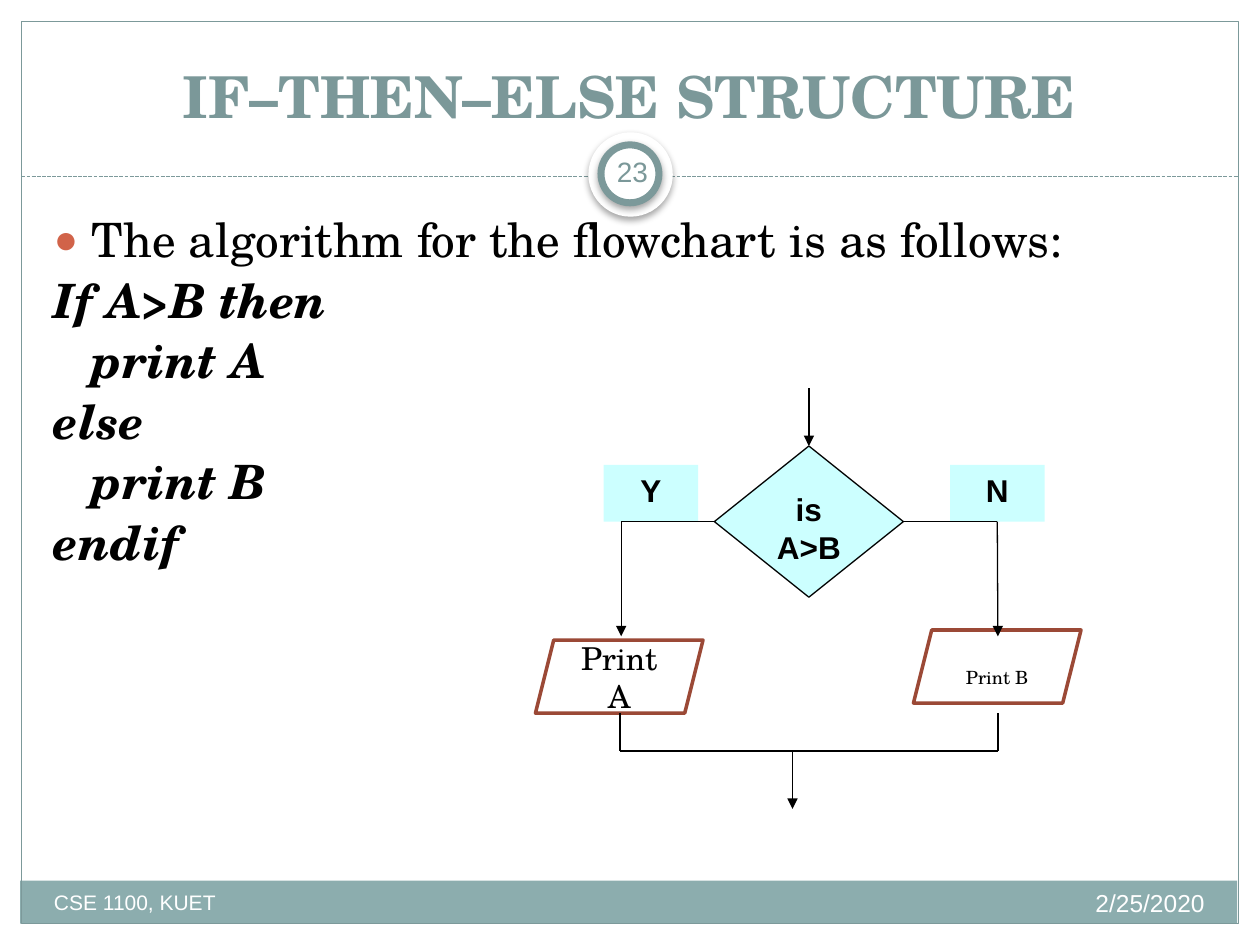
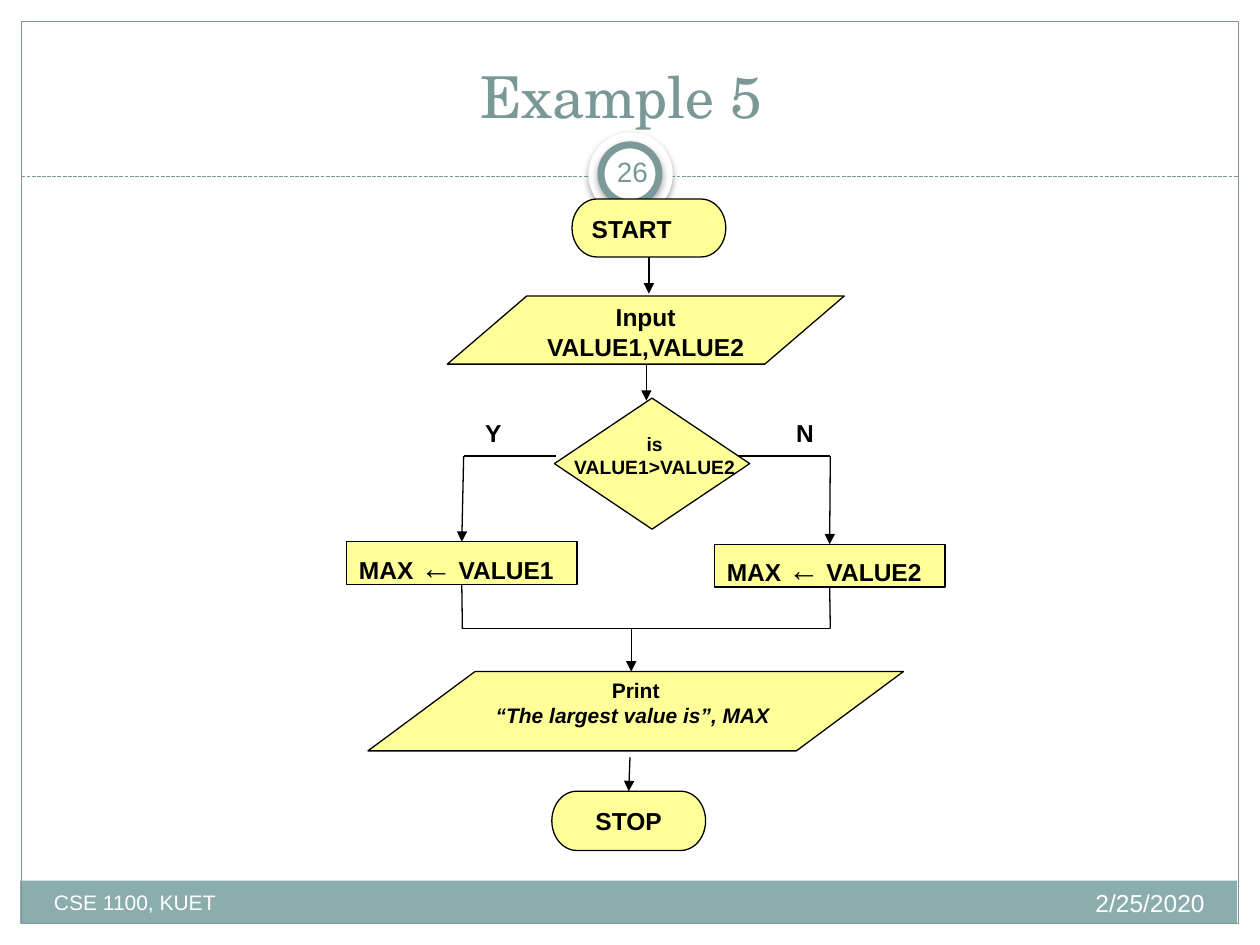
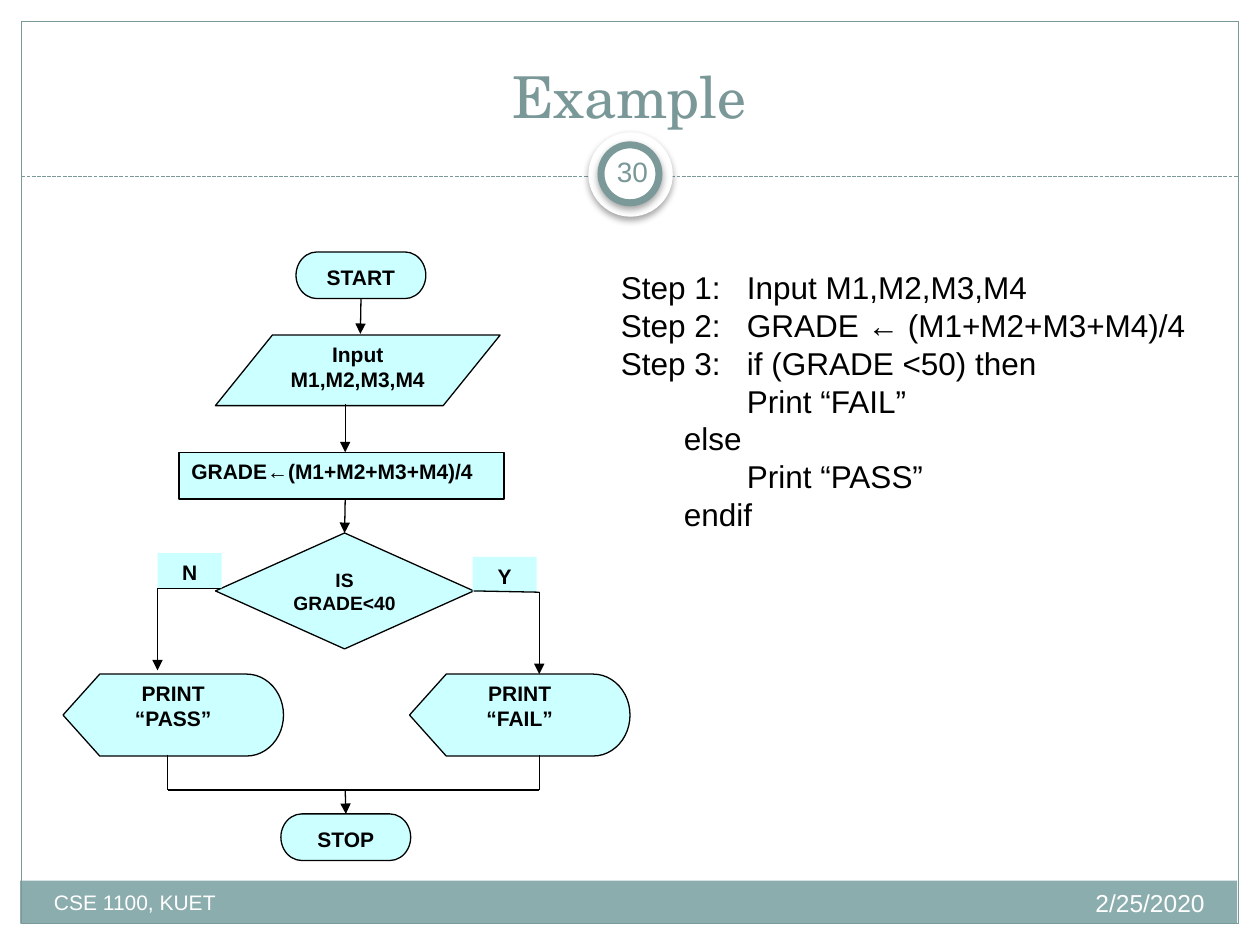
"""Build three slides on flowcharts with an if-then-else choice."""
from dataclasses import dataclass
from functools import partial
from typing import NamedTuple, Optional

from lxml.etree import SubElement
from pptx import Presentation
from pptx.dml.color import RGBColor
from pptx.enum.dml import MSO_LINE
from pptx.enum.shapes import MSO_CONNECTOR as Conn, MSO_SHAPE as Kind
from pptx.enum.text import MSO_ANCHOR as Anchor, PP_ALIGN as Align
from pptx.oxml.ns import qn
from pptx.util import Inches, Pt


@dataclass(frozen=True)
class Theme:
    ink: str = "000000"
    white: str = "FFFFFF"
    title: str = "7B9899"
    frame: str = "7C999A"
    band: str = "8CADAE"
    rust: str = "9B4936"
    bullet: str = "D16349"
    aqua: str = "CCFFFF"
    lemon: str = "FFFF99"
    serif: str = "TeX Gyre Schola"
    sans: str = "Arial"
    head: float = 33
    body: float = 27
    step: float = 18
    page: float = 16
    flow: float = 14
    note: float = 12
    tiny: float = 11
    thin: float = 0.75


T = Theme()
JOINS = (Kind.RECTANGLE, Kind.FLOWCHART_PROCESS, Kind.FLOWCHART_DECISION,
         Kind.FLOWCHART_TERMINATOR)
NEAR = 0.025


class Run(NamedTuple):
    text: str
    size: Optional[float] = None
    bold: Optional[bool] = None
    italic: bool = False


@dataclass
class Node:
    kind: Optional[Kind]
    x: float
    y: float
    w: float
    h: float
    lines: tuple = ()
    fill: Optional[str] = None
    line: Optional[str] = T.ink
    width: float = T.thin
    size: float = T.flow
    font: str = T.sans
    bold: bool = True
    align: Align = Align.CENTER
    anchor: Anchor = Anchor.TOP
    base: int = 0

    def sides(self) -> list:
        """Middles of the top, left, bottom and right sides."""
        mid, cy = self.x + self.w / 2, self.y + self.h / 2
        return [(mid, self.y), (self.x, cy), (mid, self.y + self.h), (self.x + self.w, cy)]


class Flow(NamedTuple):
    points: list
    arrow: bool = True


def rgb(code: str) -> RGBColor:
    """Turn a hex code into a colour."""
    return RGBColor.from_string(code)


def write(frame, *lines, size=T.flow, font=T.sans, color=T.ink, bold=False, italic=False,
          align=Align.LEFT, anchor=Anchor.TOP, inset=0.1, base=0) -> None:
    """Fill a text frame with lines, each a string or a tuple of runs."""
    frame.word_wrap = True
    frame.vertical_anchor = anchor
    frame.margin_left = frame.margin_right = Inches(inset)
    frame.margin_top = frame.margin_bottom = Inches(0.05)
    for i, line in enumerate(lines):
        para = frame.add_paragraph() if i else frame.paragraphs[0]
        para.alignment = align
        for part in (Run(line),) if isinstance(line, str) else line:
            run = para.add_run()
            run.text = part.text
            look = run.font
            look.name, look.size = font, Pt(part.size or size)
            look.bold = bold if part.bold is None else part.bold
            look.italic = italic or part.italic
            look.color.rgb = rgb(color)
            if base:
                look._element.set("baseline", str(base * 1000))


def add_text(slide, x: float, y: float, w: float, h: float, *lines, **fmt):
    """Add a text box and return its frame."""
    frame = slide.shapes.add_textbox(Inches(x), Inches(y), Inches(w), Inches(h)).text_frame
    write(frame, *lines, **fmt)
    return frame


def add_shape(slide, kind: Kind, x: float, y: float, w: float, h: float,
              fill: Optional[str] = None, line: Optional[str] = None, width: float = T.thin):
    """Add a plain preset shape."""
    shape = slide.shapes.add_shape(kind, Inches(x), Inches(y), Inches(w), Inches(h))
    shape.shadow.inherit = False
    if fill:
        shape.fill.solid()
        shape.fill.fore_color.rgb = rgb(fill)
    else:
        shape.fill.background()
    if line:
        shape.line.color.rgb = rgb(line)
        shape.line.width = Pt(width)
    else:
        shape.line.fill.background()
    return shape


def add_line(slide, start: tuple, end: tuple, color: str = T.ink, arrow: bool = False):
    """Add a straight line, with an arrowhead at its end if asked."""
    link = slide.shapes.add_connector(Conn.STRAIGHT, *(Inches(v) for v in (*start, *end)))
    link.line.color.rgb = rgb(color)
    link.line.width = Pt(T.thin)
    if arrow:
        SubElement(link.line._get_or_add_ln(), qn("a:tailEnd"), type="triangle")
    SubElement(link._element.spPr, qn("a:effectLst"))
    return link


def cast_shadow(shape) -> None:
    """Drop a soft shadow below a shape."""
    effects = shape._element.spPr.find(qn("a:effectLst"))
    outer = SubElement(effects, qn("a:outerShdw"), blurRad=str(Pt(4)), dist=str(Pt(2)),
                       dir="5400000", rotWithShape="0")
    tint = SubElement(outer, qn("a:srgbClr"), val=T.ink)
    SubElement(tint, qn("a:alpha"), val="35000")


def add_node(slide, node: Node):
    """Draw one flowchart node, or a bare label if it has no kind."""
    area = node.x, node.y, node.w, node.h
    fmt = dict(size=node.size, font=node.font, bold=node.bold, align=node.align,
               anchor=node.anchor, base=node.base)
    if node.kind is None:
        add_text(slide, *area, *node.lines, **fmt)
        return None
    shape = add_shape(slide, node.kind, *area, node.fill, node.line, node.width)
    if node.lines:
        write(shape.text_frame, *node.lines, **fmt)
    return shape


def find_side(point: tuple, drawn: list):
    """Find the shape and side whose middle lies at a point."""
    for node, shape in drawn:
        if node.kind in JOINS:
            for side, (x, y) in enumerate(node.sides()):
                if abs(x - point[0]) <= NEAR and abs(y - point[1]) <= NEAR:
                    return shape, side
    return None


def add_chart(slide, nodes: list, flows: list) -> None:
    """Draw a flowchart and join its lines to the nodes they meet."""
    drawn = [(node, add_node(slide, node)) for node in nodes]
    for points, arrow in flows:
        for i, (start, end) in enumerate(zip(points, points[1:]), 2):
            link = add_line(slide, start, end, arrow=arrow and i == len(points))
            if site := find_side(start, drawn):
                link.begin_connect(*site)
            if site := find_side(end, drawn):
                link.end_connect(*site)


def add_slide(deck, title: str, page: int, bold: bool = False):
    """Add a slide with its frame, title, page badge and footer."""
    slide = deck.slides.add_slide(deck.slide_layouts[6])
    add_shape(slide, Kind.RECTANGLE, 0.16, 6.99, 9.66, 0.34, T.band)
    add_shape(slide, Kind.RECTANGLE, 0.17, 0.17, 9.66, 7.16, line=T.frame)
    rule = add_line(slide, (0.17, 1.4), (9.83, 1.4), T.frame)
    rule.line.dash_style = MSO_LINE.SQUARE_DOT
    cast_shadow(add_shape(slide, Kind.OVAL, 4.67, 1.05, 0.67, 0.67, T.white))
    cast_shadow(add_shape(slide, Kind.OVAL, 4.77, 1.15, 0.46, 0.46, T.white, T.frame, 4))
    add_text(slide, 0.33, 0.25, 9.33, 0.83, title, size=T.head, font=T.serif, color=T.title,
             bold=bold, align=Align.CENTER, anchor=Anchor.BOTTOM)
    add_text(slide, 4.77, 1.12, 0.5, 0.48, str(page), size=T.page, color=T.title,
             align=Align.CENTER, anchor=Anchor.MIDDLE, inset=0.05)
    add_text(slide, 6.33, 7, 3.33, 0.4, "2/25/2020", color=T.white, align=Align.RIGHT)
    add_text(slide, 0.33, 7.01, 3.92, 0.4, "CSE 1100, KUET", size=T.note, color=T.white)
    return slide


def add_code(slide) -> None:
    """Add the bulleted lead and the code under it."""
    code = ("If A>B then", "\tprint A", "else", "\tprint B", "endif")
    frame = add_text(slide, 0.33, 1.67, 9.3, 5, "The algorithm for the flowchart is as follows:",
                     *((Run(line, bold=True, italic=True),) for line in code),
                     size=T.body, font=T.serif)
    for para in frame.paragraphs:
        para.line_spacing, para.space_before = 0.9, Pt(5.4)
        props = para._p.get_or_add_pPr()
        props.set("marL", str(Inches(0.3)))
        props.set("indent", str(-Inches(0.3)))
    props = frame.paragraphs[0]._p.pPr
    SubElement(SubElement(props, qn("a:buClr")), qn("a:srgbClr"), val=T.bullet)
    SubElement(props, qn("a:buSzPct"), val="85000")
    SubElement(props, qn("a:buFont"), typeface=T.sans)
    SubElement(props, qn("a:buChar"), char="●")


def draw_choice(deck) -> None:
    """Build the slide on the if-then-else structure."""
    slide = add_slide(deck, "IF–THEN–ELSE STRUCTURE", 23, bold=True)
    add_code(slide)
    node = partial(Node, fill=T.aqua, size=T.step)
    label = partial(node, Kind.RECTANGLE, y=3.69, w=0.75, h=0.45, line=None)
    out = partial(Node, Kind.PARALLELOGRAM, w=1.33, h=0.58, line=T.rust, width=2, size=T.step,
                  font=T.serif, bold=False, anchor=Anchor.MIDDLE)
    add_chart(slide, [
        node(Kind.FLOWCHART_DECISION, 5.67, 3.54, 1.5, 1.2, ("is", "A>B")),
        label(x=4.79, lines=("Y",)),
        label(x=7.54, lines=("N",)),
        out(x=4.25, y=5.08, lines=("Print A",)),
        out(x=7.25, y=5, lines=("Print B",), base=-25),
    ], [
        Flow([(6.42, 3.08), (6.42, 3.54)]),
        Flow([(7.17, 4.14), (7.92, 4.14), (7.92, 5.05)]),
        Flow([(5.67, 4.14), (4.93, 4.14), (4.93, 5.05)]),
        Flow([(4.92, 5.66), (4.92, 5.96), (7.92, 5.96), (7.92, 5.66)], False),
        Flow([(6.29, 5.96), (6.29, 6.42)]),
    ])


def draw_max(deck) -> None:
    """Build the slide that finds the larger of two values."""
    slide = add_slide(deck, "Example 5 ", 26)
    node = partial(Node, fill=T.lemon)
    label = partial(Node, None, y=3.27, w=0.73, h=0.34)

    def store(x: float, y: float, name: str) -> Node:
        """Make a box that stores a value in MAX."""
        runs = (Run("MAX "), Run("←", T.step, False), Run(f" {name}"))
        return node(Kind.FLOWCHART_PROCESS, x, y, 1.83, 0.34, (runs,), align=Align.LEFT)

    add_chart(slide, [
        node(Kind.FLOWCHART_TERMINATOR, 4.54, 1.58, 1.22, 0.46, ("START",), align=Align.LEFT),
        node(Kind.FLOWCHART_DATA, 3.55, 2.35, 3.15, 0.54, ("Input", "VALUE1,VALUE2")),
        node(Kind.FLOWCHART_DECISION, 4.4, 3.16, 1.55, 1.04),
        Node(None, 4.04, 3.38, 2.31, 0.57, ("is", "VALUE1>VALUE2"), size=T.tiny),
        label(x=3.55, lines=("Y",)),
        label(x=6.22, lines=("N",), align=Align.LEFT),
        store(2.75, 4.3, "VALUE1"),
        store(5.67, 4.32, "VALUE2"),
        node(Kind.FLOWCHART_DATA, 2.92, 5.33, 4.25, 0.63,
             ("Print", (Run("“The largest value is”, MAX ", italic=True),)), size=T.note),
        node(Kind.FLOWCHART_TERMINATOR, 4.38, 6.28, 1.22, 0.47, ("STOP",)),
    ], [
        Flow([(5.15, 2.04), (5.15, 2.33)]),
        Flow([(5.13, 2.9), (5.13, 3.18)]),
        Flow([(5.86, 3.62), (6.59, 3.62), (6.59, 4.3)]),
        Flow([(4.41, 3.62), (3.68, 3.62), (3.68, 4.3)]),
        Flow([(3.67, 4.65), (3.67, 4.99), (6.59, 4.99), (6.59, 4.65)], False),
        Flow([(5.01, 4.99), (5.01, 5.33)]),
        Flow([(5, 6.01), (5, 6.29)]),
    ])


def draw_grade(deck) -> None:
    """Build the slide that grades four marks."""
    slide = add_slide(deck, "Example", 30)
    add_text(slide, 4.83, 2.08, 5, 2.58, "Step 1:\tInput M1,M2,M3,M4",
             "Step 2:\tGRADE ← (M1+M2+M3+M4)/4", "Step 3:\tif (GRADE <50) then",
             "\t\tPrint “FAIL”", "\telse", "\t\tPrint “PASS”", "\tendif", size=T.step)
    node = partial(Node, fill=T.aqua, size=T.note)
    stop = partial(node, Kind.FLOWCHART_TERMINATOR, w=1.03, h=0.37)
    label = partial(node, Kind.RECTANGLE, w=0.51, h=0.28, line=None)
    show = partial(node, Kind.FLOWCHART_DISPLAY, y=5.35, w=1.75, h=0.65)
    add_chart(slide, [
        stop(x=2.35, y=2, lines=("START",)),
        node(Kind.FLOWCHART_DATA, 1.71, 2.66, 2.26, 0.56, ("Input", "M1,M2,M3,M4")),
        node(Kind.FLOWCHART_PROCESS, 1.42, 3.59, 2.58, 0.37, ("GRADE←(M1+M2+M3+M4)/4",),
             align=Align.LEFT),
        node(Kind.FLOWCHART_DECISION, 1.71, 4.23, 2.05, 0.92, ("IS", "GRADE<40"), size=T.tiny),
        label(x=1.25, y=4.39, lines=("N",)),
        label(x=3.75, y=4.42, lines=("Y",)),
        show(x=0.5, lines=("PRINT", "“PASS”")),
        show(x=3.25, lines=("PRINT", "“FAIL”")),
        stop(x=2.23, y=6.46, lines=("STOP",)),
    ], [
        Flow([(2.86, 2.37), (2.86, 2.65)]),
        Flow([(2.74, 3.21), (2.74, 3.59)]),
        Flow([(2.74, 3.96), (2.74, 4.23)]),
        Flow([(3.77, 4.7), (4.28, 4.7), (4.28, 5.35)]),
        Flow([(1.75, 4.67), (1.25, 4.67), (1.25, 5.32)]),
        Flow([(1.33, 5.99), (1.33, 6.27), (4.28, 6.27), (4.28, 5.99)], False),
        Flow([(2.74, 6.27), (2.74, 6.46)]),
    ])


def main() -> None:
    """Build and save the deck."""
    deck = Presentation()
    deck.slide_width, deck.slide_height = Inches(10), Inches(7.5)
    for draw in (draw_choice, draw_max, draw_grade):
        draw(deck)
    deck.save("out.pptx")


if __name__ == "__main__":
    main()
